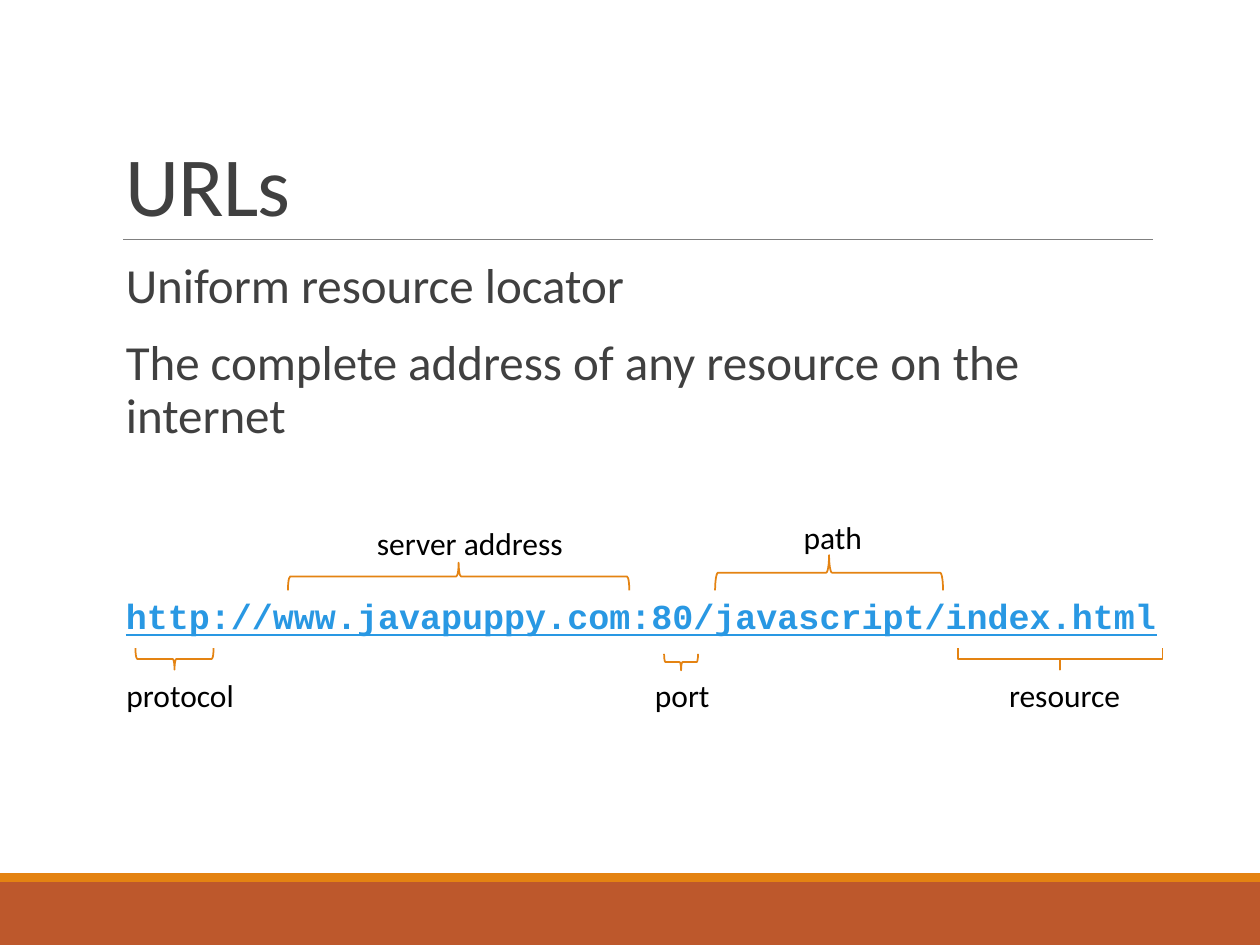
from dataclasses import dataclass

from lxml.etree import SubElement
from pptx import Presentation
from pptx.dml.color import RGBColor
from pptx.enum.shapes import MSO_CONNECTOR as Link, MSO_SHAPE as Shape
from pptx.enum.text import MSO_ANCHOR as Anchor, PP_ALIGN as Align
from pptx.oxml.ns import qn
from pptx.util import Inches, Pt

COLUMNS, ROWS = 100, 75
UNIT = Inches(10) / COLUMNS  # the grid cells are square


@dataclass(frozen=True)
class Theme:
    band: str = "BD582C"
    accent: str = "E48312"
    rule: str = "808080"
    text: str = "404040"
    label: str = "000000"
    link: str = "2998E3"
    sans: str = "Calibri"
    mono: str = "Courier New"
    title_size: int = 48
    body_size: int = 28
    url_size: int = 20
    label_size: int = 18


THEME = Theme()

# Name, label centre, then brace centre, span and depth, all in grid columns or rows
PARTS_ABOVE = [
    ("server address", (37.3, 43.1), (36.4, 45.75), 27.1, 2.2, 0.083),
    ("path", (66.1, 42.6), (65.8, 45.45), 18.1, 2.8, 0.083),
]
PARTS_BELOW = [
    ("protocol", (14.3, 55.2), (13.85, 52.3), 6.2, 1.7, 0.083),
    ("port", (54.15, 55.2), (54.05, 52.55), 2.7, 1.3, 0.083),
    ("resource", (84.5, 55.2), (84.15, 52.3), 16.2, 1.7, 0),
]


def grid(*cells):
    return [round(cell * UNIT) for cell in cells]


def color(code):
    return RGBColor.from_string(code)


def add_band(page, top, height, fill):
    band = page.shapes.add_shape(Shape.RECTANGLE, *grid(0, top, COLUMNS, height))
    band.shadow.inherit = False
    band.fill.solid()
    band.fill.fore_color.rgb = color(fill)
    band.line.fill.background()


def add_rule(page, left, right, row):
    rule = page.shapes.add_connector(Link.STRAIGHT, *grid(left, row, right, row))
    rule.line.color.rgb = color(THEME.rule)
    rule.line.width = Pt(0.5)
    SubElement(rule.element.spPr, qn("a:effectLst"))


def add_text(page, place, lines, size, ink, font=THEME.sans, wrap=True,
             anchor=Anchor.TOP, align=Align.LEFT, spacing=1.0):
    box = page.shapes.add_textbox(*grid(*place))
    frame = box.text_frame
    frame.word_wrap = wrap
    frame.vertical_anchor = anchor
    spans = []
    for number, line in enumerate(lines):
        para = frame.add_paragraph() if number else frame.paragraphs[0]
        para.alignment = align
        para.line_spacing = spacing
        if number:
            para.space_before = Pt(14)
        span = para.add_run()
        span.text = line
        span.font.name = font
        span.font.size = Pt(size)
        span.font.color.rgb = color(ink)
        spans.append(span)
    return frame, spans


def add_brace(page, centre, span, depth, curve, rotation):
    # The brace is drawn upright around its centre and then turned
    x, y = centre
    place = grid(x - depth / 2, y - span / 2, depth, span)
    brace = page.shapes.add_shape(Shape.RIGHT_BRACE, *place)
    brace.rotation = rotation
    brace.adjustments[0] = curve
    brace.shadow.inherit = False
    brace.fill.background()
    brace.line.color.rgb = color(THEME.accent)
    brace.line.width = Pt(1)


def add_label(page, name, centre):
    x, y = centre
    width, height = 18, 4
    add_text(page, (x - width / 2, y - height / 2, width, height), [name],
             THEME.label_size, THEME.label, wrap=False, align=Align.CENTER)


def main():
    deck = Presentation()
    deck.slide_width, deck.slide_height = grid(COLUMNS, ROWS)
    page = deck.slides.add_slide(deck.slide_layouts[6])

    # Footer bands and title rule
    add_band(page, 70, 5, THEME.band)
    add_band(page, 69.3, 0.7, THEME.accent)
    add_rule(page, 9.8, 91.5, 19)

    # Title, slightly tightened
    _, (title,) = add_text(page, (9, 3.1, 82.5, 15.9), ["URLs"], THEME.title_size,
                           THEME.text, anchor=Anchor.BOTTOM, spacing=0.85)
    title.font._element.set("spc", "-50")

    # Definition
    frame, _ = add_text(
        page, (9, 20.2, 84.1, 18),
        ["Uniform resource locator",
         "The complete address of any resource on the internet"],
        THEME.body_size, THEME.text, spacing=0.9)
    frame.margin_right = 0

    # Example address
    _, (url,) = add_text(page, (9, 46.7, 84.1, 4),
                         ["http://www.javapuppy.com:80/javascript/index.html"],
                         THEME.url_size, THEME.link, font=THEME.mono, wrap=False)
    url.font.bold = True
    url.font.underline = True

    # Named parts of the address
    for parts, rotation in ((PARTS_ABOVE, 270), (PARTS_BELOW, 90)):
        for name, label_centre, *brace in parts:
            add_brace(page, *brace, rotation)
            add_label(page, name, label_centre)

    deck.save("out.pptx")


if __name__ == "__main__":
    main()
